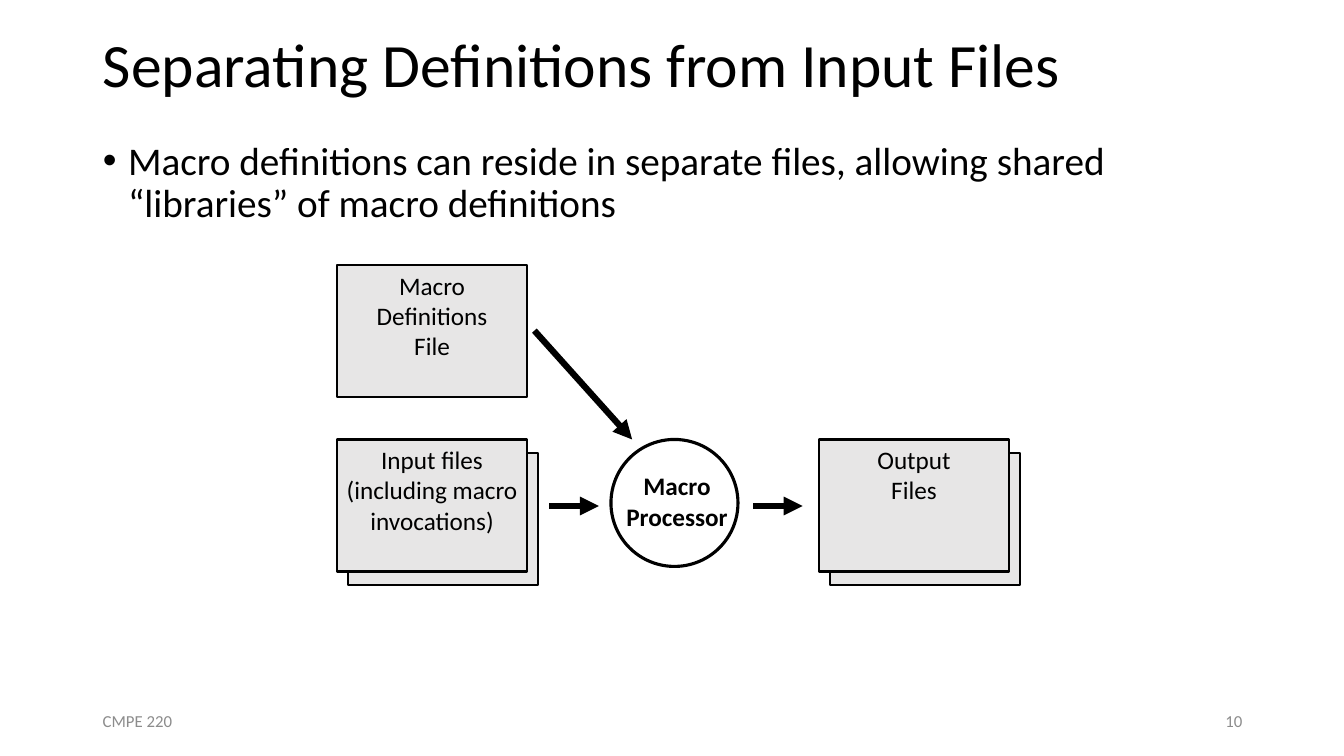
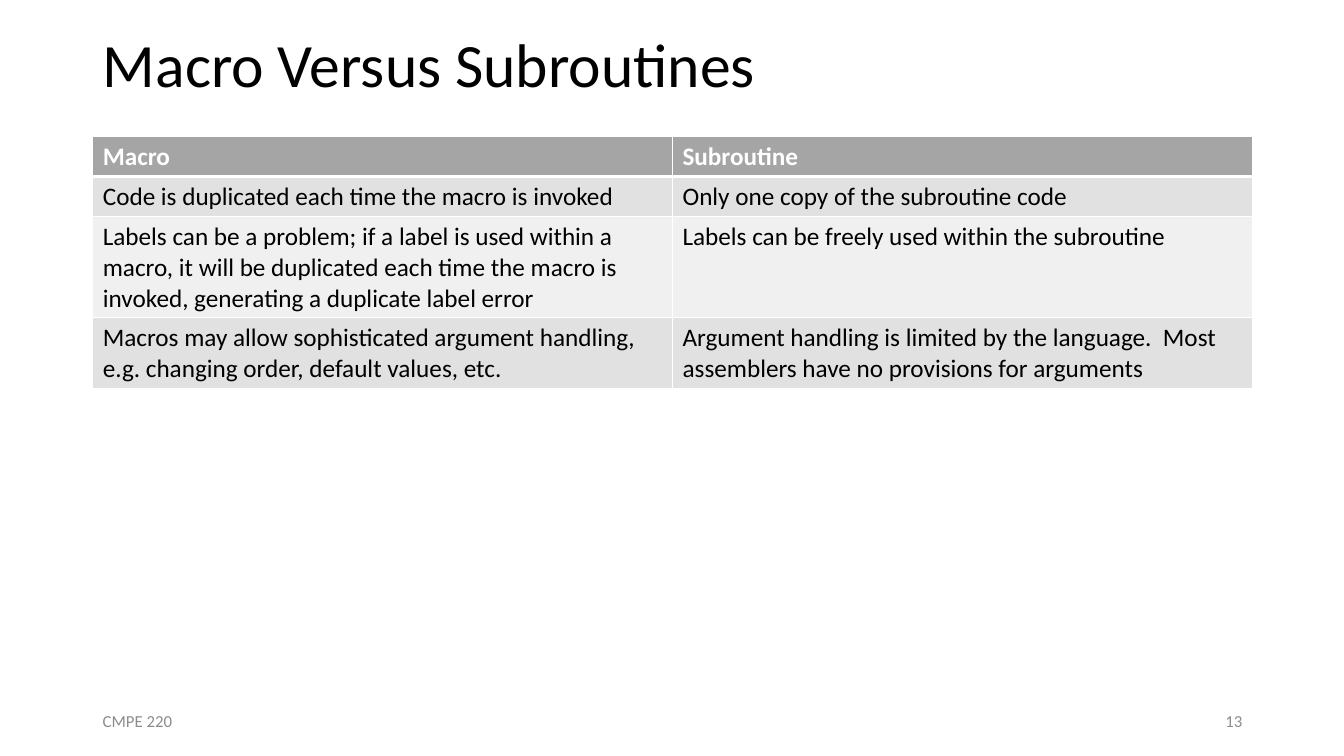
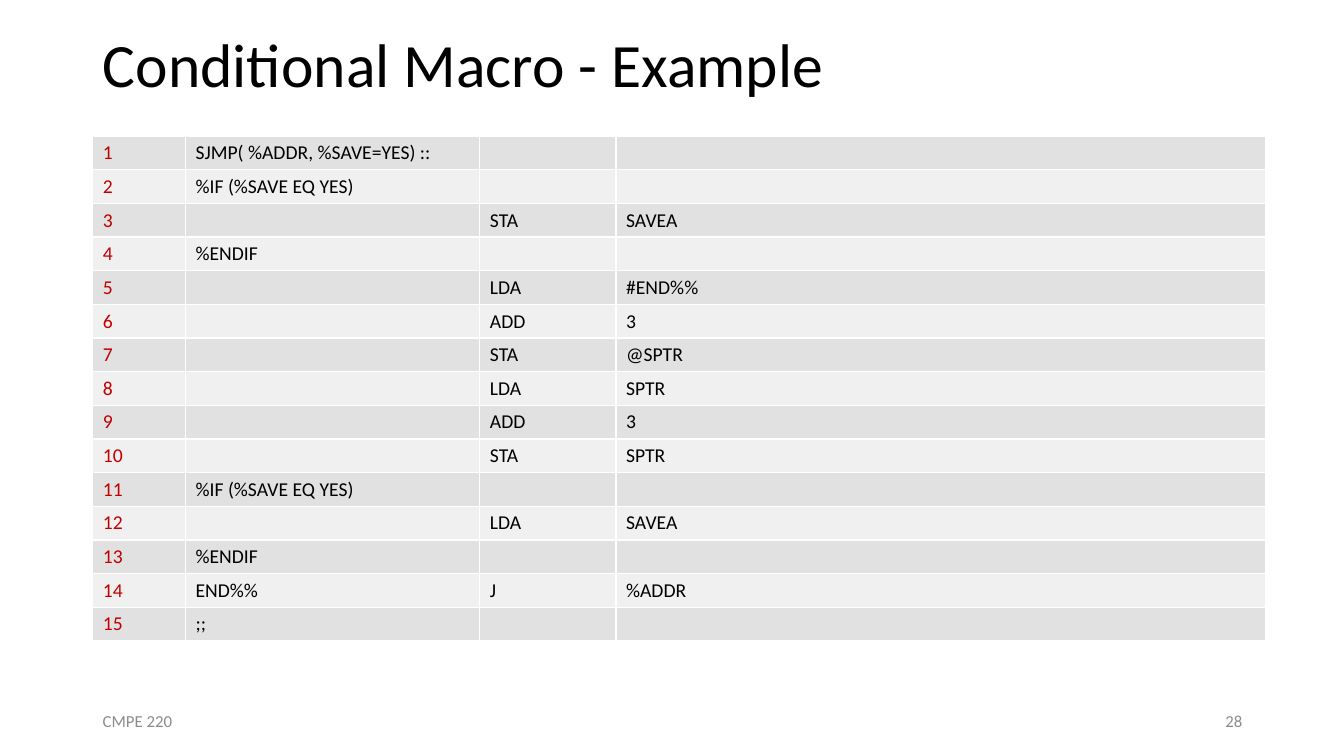
import lxml.etree
import pptx
import pptx.dml.color
import pptx.enum.shapes
import pptx.enum.text
import pptx.oxml.ns
import pptx.util

Inches = pptx.util.Inches
Pt = pptx.util.Pt
ALIGN = pptx.enum.text.PP_ALIGN
ANCHOR = pptx.enum.text.MSO_ANCHOR
SHAPE = pptx.enum.shapes.MSO_SHAPE

FONT = "Calibri"
COLORS = {
    "text": "000000",
    "white": "FFFFFF",
    "footer": "8C8C8C",
    "file": "E7E6E6",
    "header": "A5A5A5",
    "odd_row": "E1E1E1",
    "even_row": "F0F0F0",
    "line_number": "C00000",
}
MARGIN = 0.92
CONTENT_TOP = 1.35
CONTENT_WIDTH = 11.5
FOOTER_WIDTH = 3
COURSE = "CMPE 220"

FILE_SIZE = (1.89, 1.31)
STACK_OFFSET = (0.11, 0.13)

COMPARISON = [
    ("Macro", "Subroutine"),
    ("Code is duplicated each time the macro is invoked",
     "Only one copy of the subroutine code"),
    ("Labels can be a problem; if a label is used within a macro, it will be "
     "duplicated each time the macro is invoked, generating a duplicate label error",
     "Labels can be freely used within the subroutine"),
    ("Macros may allow sophisticated argument handling, e.g. changing order, "
     "default values, etc.",
     "Argument handling is limited by the language.  Most assemblers have no "
     "provisions for arguments"),
]

CODE = [
    ("SJMP( %ADDR, %SAVE=YES) ::", "", ""),
    ("%IF (%SAVE EQ YES)", "", ""),
    ("", "STA", "SAVEA"),
    ("%ENDIF", "", ""),
    ("", "LDA", "#END%%"),
    ("", "ADD", "3"),
    ("", "STA", "@SPTR"),
    ("", "LDA", "SPTR"),
    ("", "ADD", "3"),
    ("", "STA", "SPTR"),
    ("%IF (%SAVE EQ YES)", "", ""),
    ("", "LDA", "SAVEA"),
    ("%ENDIF", "", ""),
    ("END%%", "J", "%ADDR"),
    (";;", "", ""),
]


def rgb(name):
    return pptx.dml.color.RGBColor.from_string(COLORS[name])


def add_element(parent, tag, **attributes):
    return lxml.etree.SubElement(parent, pptx.oxml.ns.qn(tag), **attributes)


def place(shape, left, top, width, height):
    shape.left, shape.top = Inches(left), Inches(top)
    shape.width, shape.height = Inches(width), Inches(height)


def write_text(frame, text, size=18, color="text", bold=False, align=ALIGN.LEFT,
               anchor=ANCHOR.TOP, spacing=1.0, wrap=True):
    frame.text = text
    frame.word_wrap = wrap
    frame.vertical_anchor = anchor
    for paragraph in frame.paragraphs:
        paragraph.alignment = align
        paragraph.line_spacing = spacing
        paragraph.space_before = Pt(0)
        for run in paragraph.runs:
            run.font.name = FONT
            run.font.size = Pt(size)
            run.font.bold = bold
            run.font.color.rgb = rgb(color)


def add_text(slide, text, left, top, width, height, **text_format):
    box = slide.shapes.add_textbox(
        Inches(left), Inches(top), Inches(width), Inches(height))
    write_text(box.text_frame, text, **text_format)


def add_slide(presentation, layout_index, title, number):
    slide = presentation.slides.add_slide(presentation.slide_layouts[layout_index])
    place(slide.shapes.title, MARGIN, 0, CONTENT_WIDTH, CONTENT_TOP)
    frame = slide.shapes.title.text_frame
    frame.auto_size = pptx.enum.text.MSO_AUTO_SIZE.NONE
    write_text(frame, title, size=44, anchor=ANCHOR.MIDDLE, spacing=0.9)
    number_left = MARGIN + CONTENT_WIDTH - FOOTER_WIDTH
    for text, left, align in ((COURSE, MARGIN, ALIGN.LEFT),
                              (str(number), number_left, ALIGN.RIGHT)):
        add_text(slide, text, left, 6.95, FOOTER_WIDTH, 0.4, size=12,
                 color="footer", align=align, anchor=ANCHOR.MIDDLE)
    return slide


def fill_body(slide, text, left, top, width, height):
    body = slide.placeholders[1]
    place(body, left, top, width, height)
    frame = body.text_frame
    frame.auto_size = pptx.enum.text.MSO_AUTO_SIZE.NONE
    write_text(frame, text, size=28, spacing=0.9)
    for paragraph in frame.paragraphs:
        properties = paragraph._p.get_or_add_pPr()
        properties.set("marL", str(Inches(0.25)))
        properties.set("indent", str(Inches(-0.25)))
        add_element(properties, "a:buFont", typeface="Arial")
        add_element(properties, "a:buChar", char="•")


def add_outline(slide, kind, left, top, width, height, line_width, fill=None):
    shape = slide.shapes.add_shape(
        kind, Inches(left), Inches(top), Inches(width), Inches(height))
    shape.shadow.inherit = False
    if fill:
        shape.fill.solid()
        shape.fill.fore_color.rgb = rgb(fill)
    else:
        shape.fill.background()
    shape.line.color.rgb = rgb("text")
    shape.line.width = Pt(line_width)
    return shape


def add_file(slide, text, left, top, stacked=False):
    offsets = [STACK_OFFSET, (0, 0)] if stacked else [(0, 0)]
    for across, down in offsets:
        sheet = add_outline(slide, SHAPE.RECTANGLE, left + across, top + down,
                            *FILE_SIZE, line_width=1.5, fill="file")
    write_text(sheet.text_frame, text, align=ALIGN.CENTER)


def add_processor(slide, text, left, top):
    add_outline(slide, SHAPE.OVAL, left, top, 1.26, 1.26, line_width=2.25)
    add_text(slide, text, left + 0.05, top + 0.26, 1.21, 0.71, bold=True,
             align=ALIGN.CENTER, wrap=False)


def add_arrow(slide, start_x, start_y, end_x, end_y):
    arrow = slide.shapes.add_connector(
        pptx.enum.shapes.MSO_CONNECTOR.STRAIGHT,
        Inches(start_x), Inches(start_y), Inches(end_x), Inches(end_y))
    arrow.line.color.rgb = rgb("text")
    arrow.line.width = Pt(4.5)
    add_element(arrow.line._get_or_add_ln(), "a:tailEnd", type="triangle")
    add_element(arrow._element.spPr, "a:effectLst")


def add_processing_diagram(slide, left, top):
    row_top = top + 1.73
    arrow_top = top + 2.39
    add_file(slide, "Macro\nDefinitions\nFile", left, top)
    add_file(slide, "Input files\n(including macro invocations)", left, row_top,
             stacked=True)
    add_processor(slide, "Macro\vProcessor", left + 2.72, row_top)
    add_file(slide, "Output\nFiles", left + 4.78, row_top, stacked=True)
    add_arrow(slide, left + 1.96, top + 0.65, left + 2.93, row_top)
    for start in (2.11, 4.13):
        add_arrow(slide, left + start, arrow_top, left + start + 0.49, arrow_top)


def set_borders(cell, top=1, bottom=1):
    properties = cell._tc.get_or_add_tcPr()
    for side, width in (("L", 1), ("R", 1), ("T", top), ("B", bottom)):
        line = add_element(properties, f"a:ln{side}", w=str(Pt(width)))
        fill = add_element(line, "a:solidFill")
        add_element(fill, "a:srgbClr", val=COLORS["white"])


def add_grid(slide, rows, left, top, widths, heights, size, header=False,
             first_color="text"):
    table = slide.shapes.add_table(
        len(rows), len(widths), Inches(left), Inches(top),
        Inches(sum(widths)), Inches(sum(heights))).table
    table.first_row = table.horz_banding = False
    for column, width in zip(table.columns, widths):
        column.width = Inches(width)
    for row, height in zip(table.rows, heights):
        row.height = Inches(height)
    for row_index, values in enumerate(rows):
        is_header = header and row_index == 0
        band = "odd_row" if (row_index - header) % 2 == 0 else "even_row"
        for column_index, text in enumerate(values):
            cell = table.cell(row_index, column_index)
            set_borders(cell, top=3 if header and row_index == 1 else 1,
                        bottom=3 if is_header else 1)
            cell.fill.solid()
            cell.fill.fore_color.rgb = rgb("header" if is_header else band)
            color = first_color if column_index == 0 else "text"
            write_text(cell.text_frame, text, size=size, bold=is_header,
                       color="white" if is_header else color)
            if not text:
                add_element(cell.text_frame.paragraphs[0]._p, "a:endParaRPr",
                            sz=str(size * 100))


def build_separate_files(presentation):
    slide = add_slide(presentation, 1, "Separating Definitions from Input Files", 10)
    fill_body(slide, "Macro definitions can reside in separate files, allowing "
              "shared “libraries” of macro definitions",
              MARGIN, CONTENT_TOP, CONTENT_WIDTH, 1.15)
    add_processing_diagram(slide, 3.34, 2.63)


def build_comparison(presentation):
    slide = add_slide(presentation, 5, "Macro Versus Subroutines", 13)
    add_grid(slide, COMPARISON, MARGIN, CONTENT_TOP, [CONTENT_WIDTH / 2] * 2,
             [0.4, 0.4, 1, 0.7], size=18, header=True)


def build_code_example(presentation):
    slide = add_slide(presentation, 5, "Conditional Macro - Example", 28)
    rows = [(str(number), *parts) for number, parts in enumerate(CODE, 1)]
    add_grid(slide, rows, MARGIN, CONTENT_TOP, [0.92, 2.92, 1.35, 6.44],
             [0.33] * len(rows), size=14, first_color="line_number")


def main():
    presentation = pptx.Presentation()
    presentation.slide_width = Inches(13.33)
    presentation.slide_height = Inches(7.5)
    build_separate_files(presentation)
    build_comparison(presentation)
    build_code_example(presentation)
    presentation.save("out.pptx")


if __name__ == "__main__":
    main()
